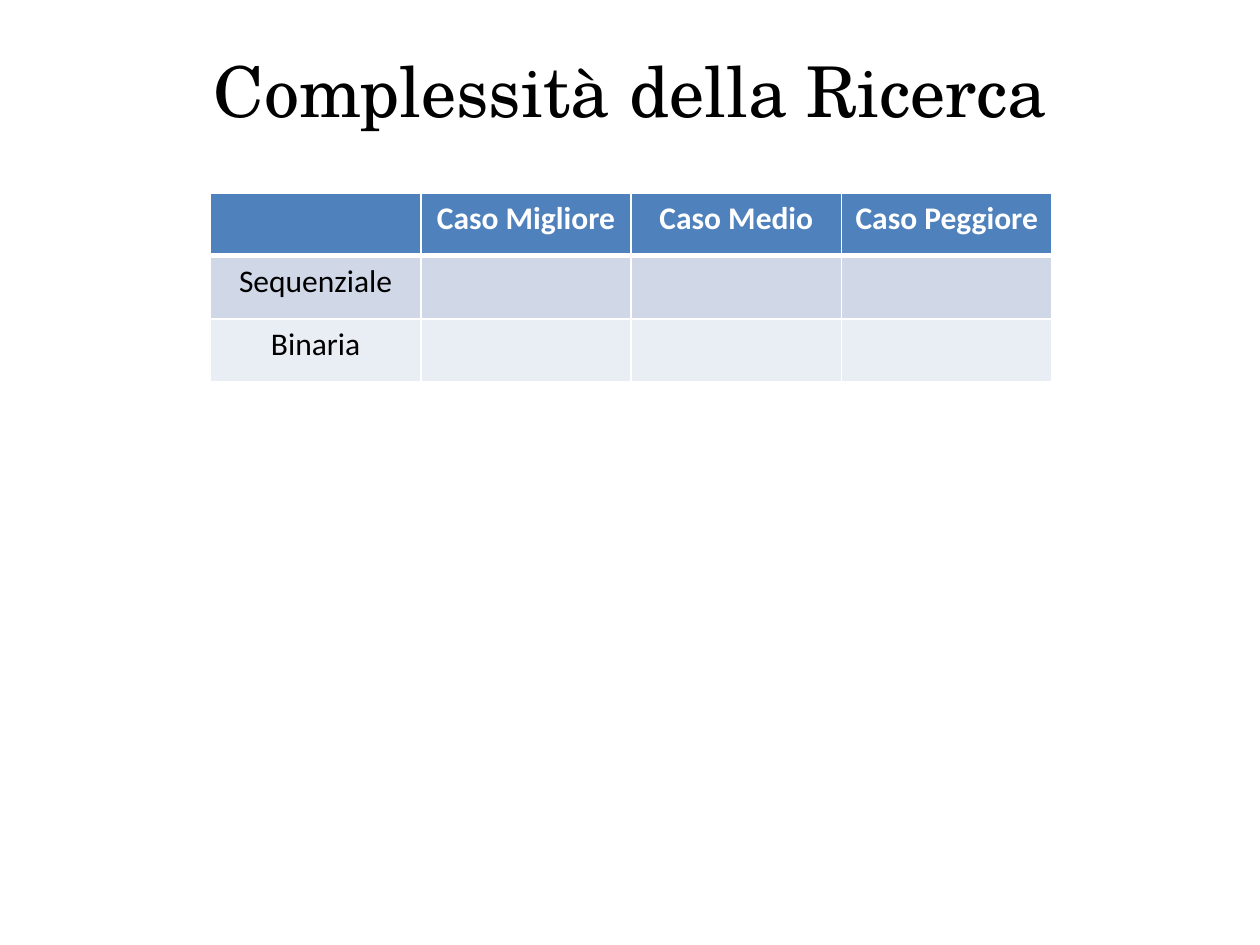
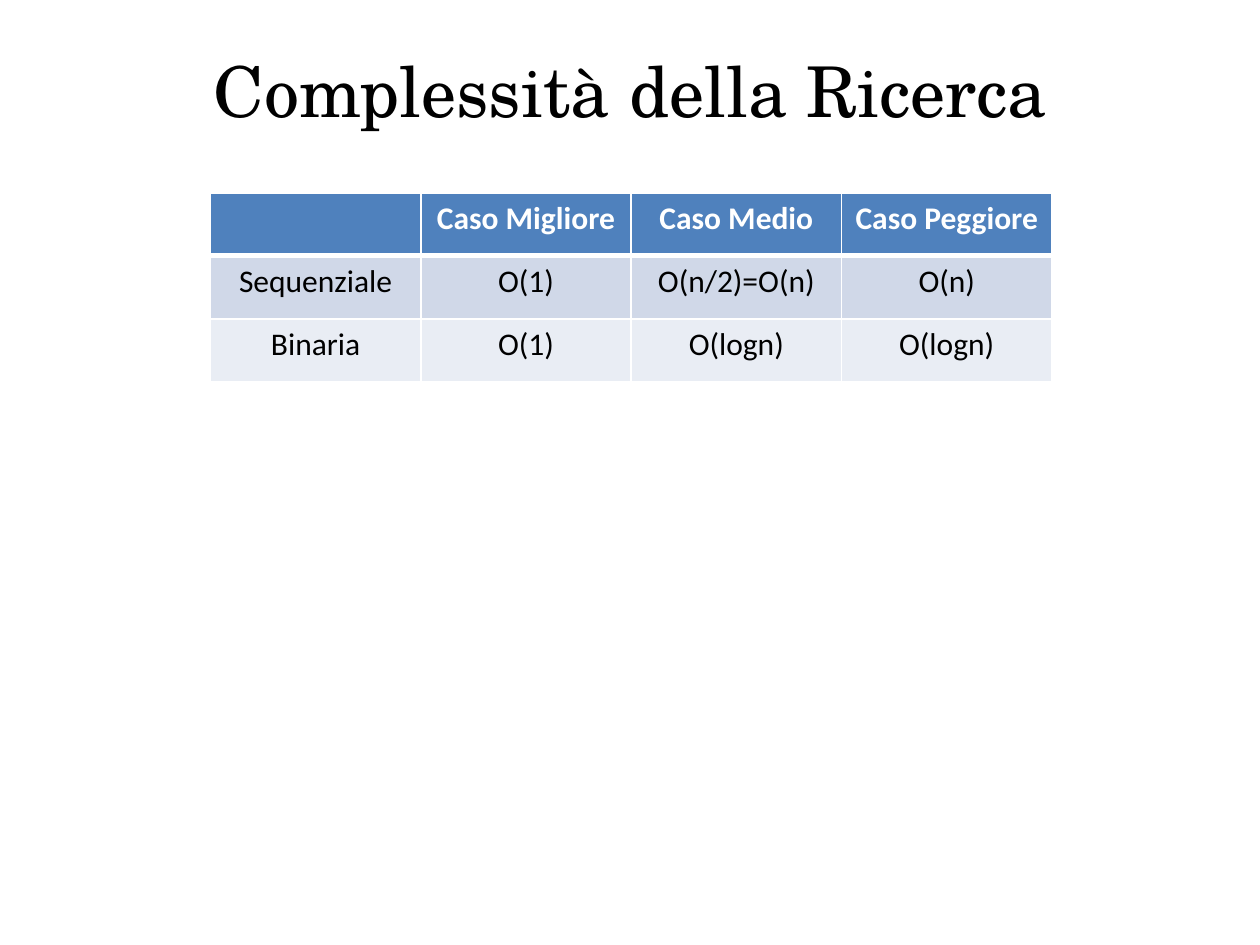
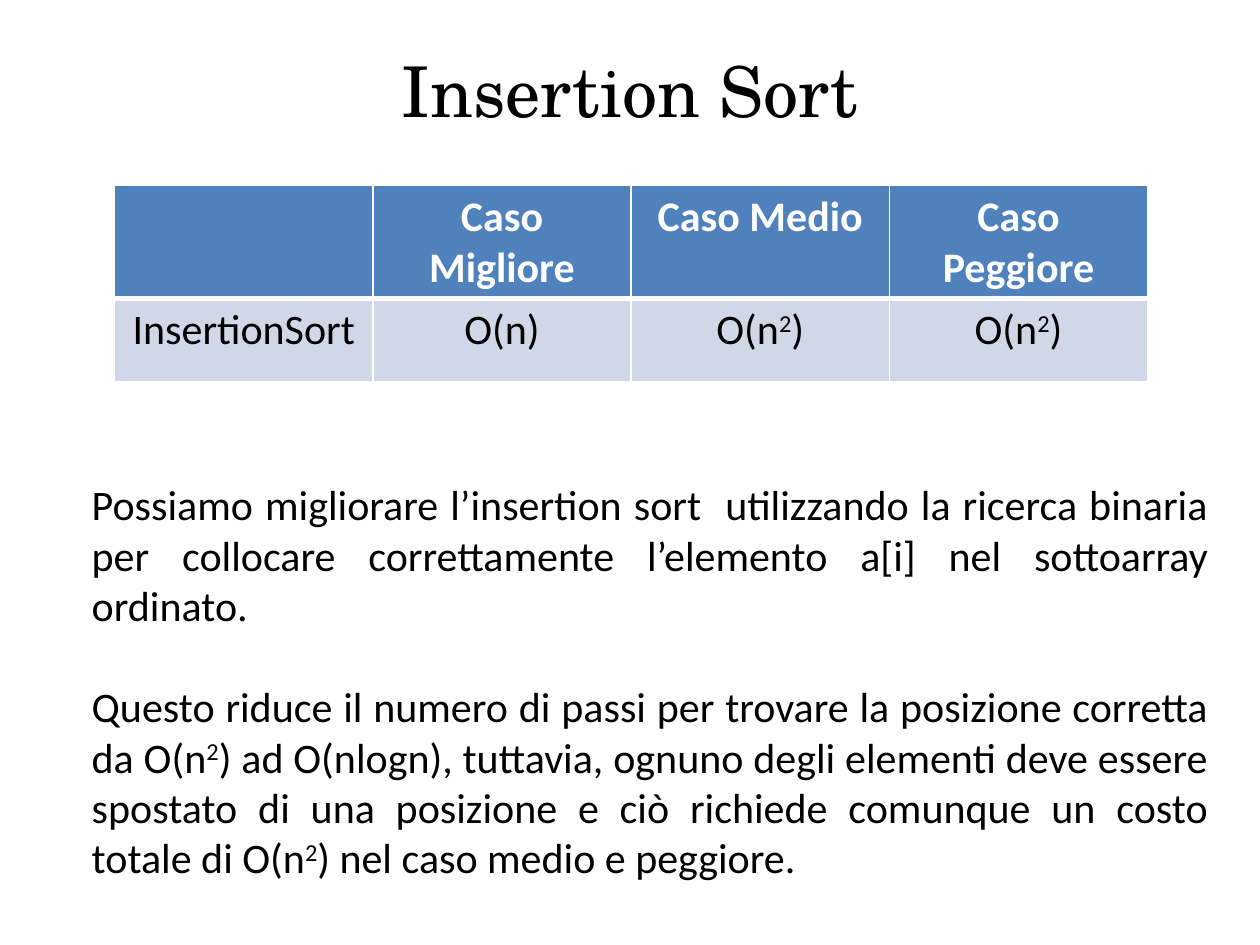
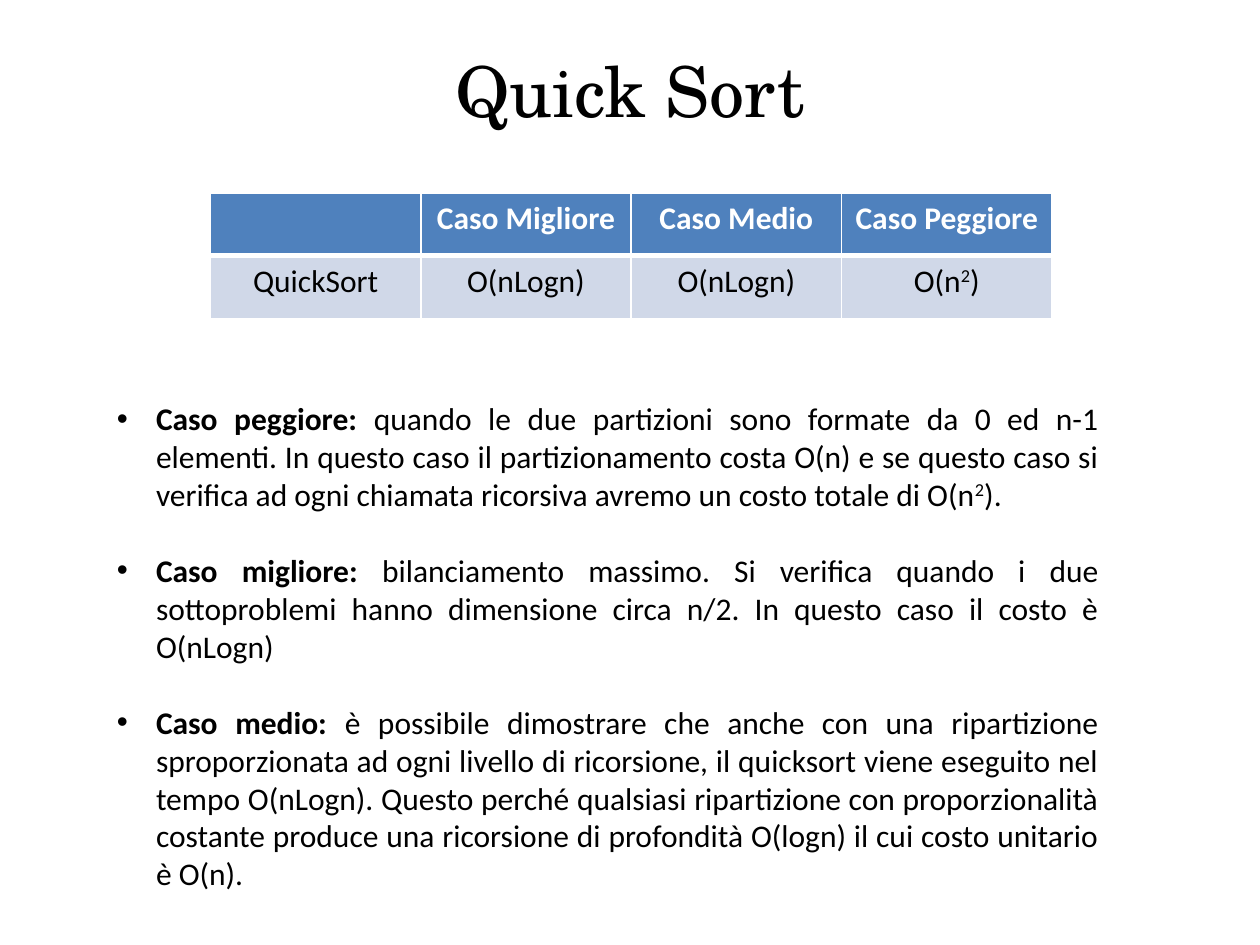
"""Build four slides on the complexity of search and sorting algorithms."""
from dataclasses import dataclass
from typing import Any

from lxml import etree
from pptx import Presentation
from pptx import util as u
from pptx.dml import color
from pptx.enum import text
from pptx.oxml import ns


@dataclass(frozen=True)
class Theme:
    ink: str = "000000"
    paper: str = "FFFFFF"
    header: str = "4F81BD"
    bands: tuple[str, ...] = ("D0D8E8", "E9EDF4")
    title_font: str = "TeX Gyre Schola"
    body_font: str = "Calibri"
    title_size: int = 40
    large: int = 24
    normal: int = 18
    thin: int = 1
    thick: int = 3


@dataclass(frozen=True)
class Box:
    left: float
    top: float
    width: float
    height: float

    def lengths(self) -> list[u.Length]:
        return [u.Inches(v) for v in (self.left, self.top, self.width, self.height)]


@dataclass(frozen=True)
class Cases:
    rows: tuple[tuple[str, ...], ...]
    left: float = 1.67
    top: float = 1.53
    column: float = 1.67
    row: float = 0.5
    size: int = 18


@dataclass(frozen=True)
class Remark:
    body: str
    lead: str = ""


@dataclass(frozen=True)
class Remarks:
    box: Box
    items: tuple[Remark, ...]
    size: int
    gap: int
    bulleted: bool = False


@dataclass(frozen=True)
class Page:
    title: str
    cases: Cases
    remarks: Remarks | None = None


THEME = Theme()
TITLE_BOX = Box(1.18, 0.16, 7.64, 1.18)
HEADINGS = ("", "Caso Migliore", "Caso Medio", "Caso Peggiore")
SEARCH = "Complessità della Ricerca"
BULLET_INDENT = u.Inches(0.31)

PAGES = (
    Page(SEARCH, Cases((("Sequenziale", "", "", ""), ("Binaria", "", "", "")))),
    Page(SEARCH, Cases((
        ("Sequenziale", "O(1)", "O(n/2)=O(n)", "O(n)"),
        ("Binaria", "O(1)", "O(logn)", "O(logn)"),
    ))),
    Page(
        "Insertion Sort",
        Cases((("InsertionSort", "O(n)", "O(n^2^)", "O(n^2^)"),),
              0.91, 1.47, 2.05, 0.66, THEME.large),
        Remarks(Box(0.63, 3.75, 9.06, 3.33), (
            Remark("Possiamo migliorare l’insertion sort  utilizzando la ricerca binaria "
                   "per collocare correttamente l’elemento a[i] nel sottoarray ordinato."),
            Remark("Questo riduce il numero di passi per trovare la posizione corretta "
                   "da O(n^2^) ad O(nlogn), tuttavia, ognuno degli elementi deve essere "
                   "spostato di una posizione e ciò richiede comunque un costo totale "
                   "di O(n^2^) nel caso medio e peggiore."),
        ), THEME.large, 29),
    ),
    Page(
        "Quick Sort",
        Cases((("QuickSort", "O(nLogn)", "O(nLogn)", "O(n^2^)"),)),
        Remarks(Box(0.83, 3.12, 7.99, 4.04), (
            Remark("quando le due partizioni sono formate da 0 ed n-1 elementi. In questo "
                   "caso il partizionamento costa O(n) e se questo caso si verifica ad ogni "
                   "chiamata ricorsiva avremo un costo totale di O(n^2^).",
                   "Caso peggiore: "),
            Remark("bilanciamento massimo. Si verifica quando i due sottoproblemi hanno "
                   "dimensione circa n/2. In questo caso il costo è O(nLogn)",
                   "Caso migliore: "),
            Remark("è possibile dimostrare che anche con una ripartizione sproporzionata "
                   "ad ogni livello di ricorsione, il quicksort viene eseguito nel tempo "
                   "O(nLogn). Questo perché qualsiasi ripartizione con proporzionalità "
                   "costante produce una ricorsione di profondità O(logn) il cui costo "
                   "unitario è O(n).", "Caso medio: "),
        ), THEME.normal, 22, True),
    ),
)


def apply(target: Any, values: dict[str, Any]) -> None:
    """Set every named attribute on the target."""
    for name, value in values.items():
        setattr(target, name, value)


def write(paragraph: Any, wording: str, size: int, ink: str = THEME.ink,
          bold: bool = False, font: str = THEME.body_font) -> None:
    """Add styled runs, raising the parts enclosed in carets."""
    for index, part in enumerate(wording.split("^")):
        if not part:
            continue
        run = paragraph.add_run()
        run.text = part
        apply(run.font, {"name": font, "size": u.Pt(size), "bold": bold})
        run.font.color.rgb = color.RGBColor.from_string(ink)
        if index % 2:
            run.font._element.set("baseline", "30000")


def add_title(slide: Any, wording: str) -> None:
    """Place the centred slide title."""
    frame = slide.shapes.add_textbox(*TITLE_BOX.lengths()).text_frame
    apply(frame, {
        "word_wrap": True, "vertical_anchor": text.MSO_ANCHOR.MIDDLE,
        "margin_left": 0, "margin_top": 0, "margin_right": 0, "margin_bottom": 0,
    })
    heading = frame.paragraphs[0]
    apply(heading, {"alignment": text.PP_ALIGN.CENTER, "line_spacing": 0.93})
    write(heading, wording, THEME.title_size, font=THEME.title_font)


def add_border(cell: Any, side: str, points: int) -> None:
    """Draw one solid border of a cell."""
    properties = cell._tc.get_or_add_tcPr()
    line = etree.SubElement(properties, ns.qn(f"a:ln{side}"), w=str(u.Pt(points)))
    fill = etree.SubElement(line, ns.qn("a:solidFill"))
    etree.SubElement(fill, ns.qn("a:srgbClr"), val=THEME.paper)


def style_cell(cell: Any, wording: str, row: int, size: int) -> None:
    """Border, fill and letter one cell according to its row."""
    is_header = row == 0
    borders = {"L": THEME.thin, "R": THEME.thin}
    if is_header:
        borders["T"] = THEME.thin
    borders["B"] = THEME.thick if is_header else THEME.thin
    for side, points in borders.items():
        add_border(cell, side, points)
    band = THEME.header if is_header else THEME.bands[(row - 1) % len(THEME.bands)]
    cell.fill.solid()
    cell.fill.fore_color.rgb = color.RGBColor.from_string(band)
    label = cell.text_frame.paragraphs[0]
    label.alignment = text.PP_ALIGN.CENTER
    write(label, wording, size, THEME.paper if is_header else THEME.ink, is_header)


def add_cases(slide: Any, cases: Cases) -> None:
    """Place the table of best, average and worst cases."""
    rows = (HEADINGS, *cases.rows)
    box = Box(cases.left, cases.top, cases.column * len(HEADINGS), cases.row * len(rows))
    grid = slide.shapes.add_table(len(rows), len(HEADINGS), *box.lengths()).table
    for row, wordings in enumerate(rows):
        for column, wording in enumerate(wordings):
            style_cell(grid.cell(row, column), wording, row, cases.size)


def add_bullet(paragraph: Any) -> None:
    """Give a paragraph a hanging bullet."""
    properties = paragraph._p.get_or_add_pPr()
    properties.set("marL", str(BULLET_INDENT))
    properties.set("indent", str(-BULLET_INDENT))
    etree.SubElement(properties, ns.qn("a:buFont"), typeface="Arial")
    etree.SubElement(properties, ns.qn("a:buChar"), char="•")


def add_remarks(slide: Any, remarks: Remarks) -> None:
    """Place the justified remarks below the table."""
    frame = slide.shapes.add_textbox(*remarks.box.lengths()).text_frame
    apply(frame, {"word_wrap": True, "auto_size": text.MSO_AUTO_SIZE.SHAPE_TO_FIT_TEXT})
    for index, remark in enumerate(remarks.items):
        paragraph = frame.add_paragraph() if index else frame.paragraphs[0]
        apply(paragraph, {
            "alignment": text.PP_ALIGN.JUSTIFY,
            "space_before": u.Pt(remarks.gap if index else 0),
        })
        if remarks.bulleted:
            add_bullet(paragraph)
        write(paragraph, remark.lead, remarks.size, bold=True)
        write(paragraph, remark.body, remarks.size)


def main() -> None:
    """Build and save the presentation."""
    deck = Presentation()
    apply(deck, {"slide_width": u.Inches(10), "slide_height": u.Inches(7.5)})
    for page in PAGES:
        slide = deck.slides.add_slide(deck.slide_layouts[6])
        add_title(slide, page.title)
        add_cases(slide, page.cases)
        if page.remarks:
            add_remarks(slide, page.remarks)
    deck.save("out.pptx")


if __name__ == "__main__":
    main()
